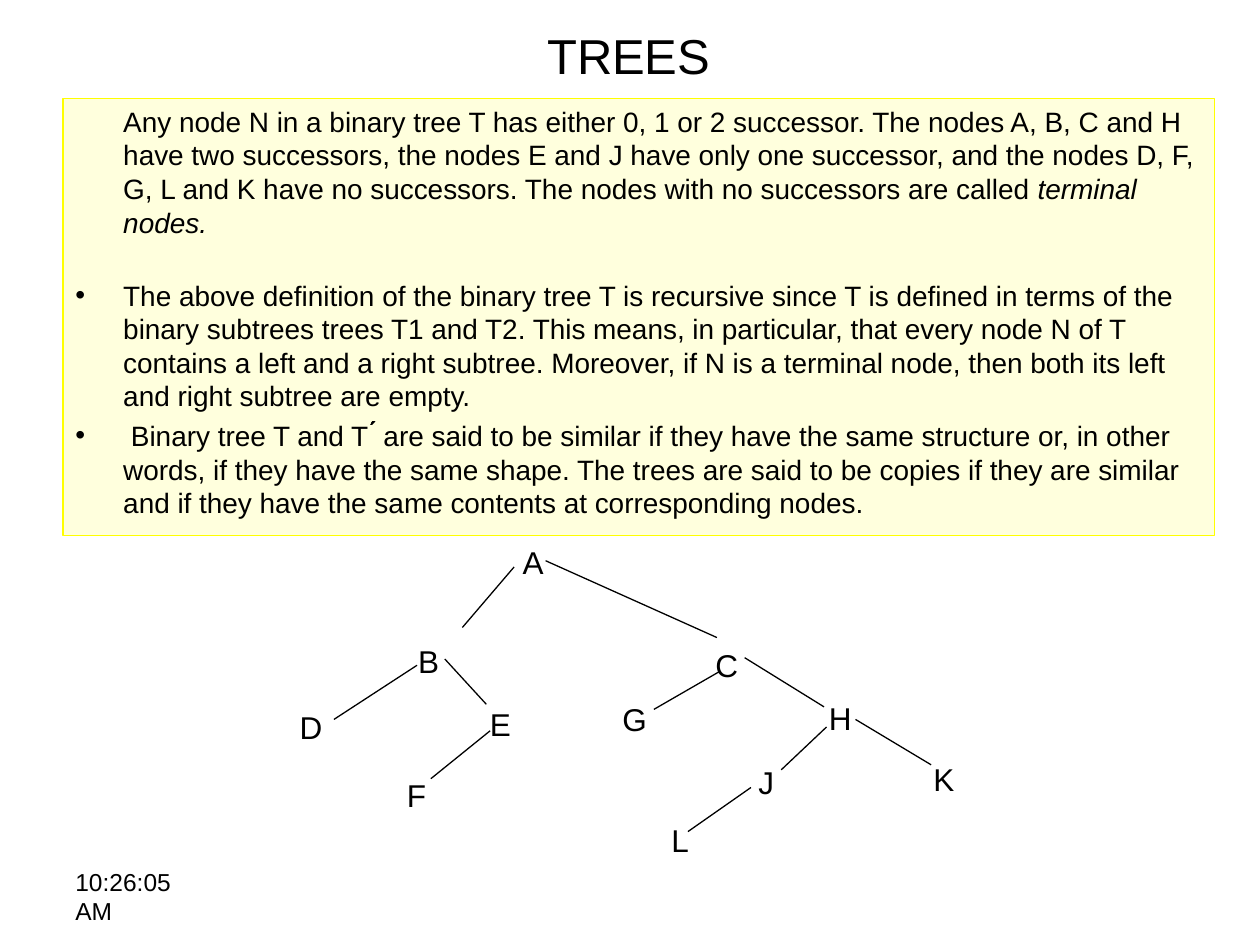
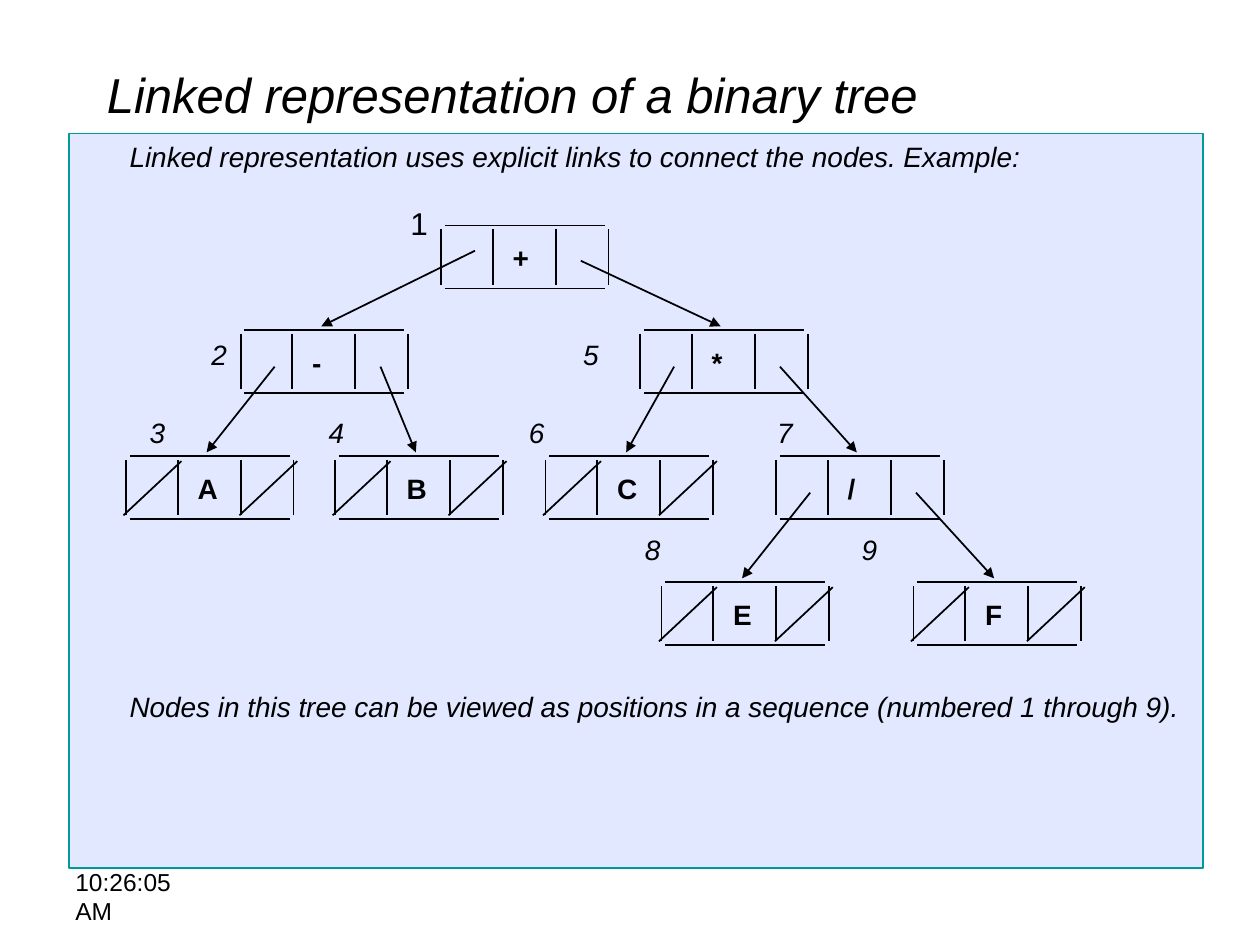
from dataclasses import dataclass

from lxml import etree
from pptx import Presentation
from pptx.dml.color import RGBColor
from pptx.enum.shapes import MSO_CONNECTOR, MSO_SHAPE
from pptx.enum.text import MSO_ANCHOR, PP_ALIGN
from pptx.oxml.ns import qn
from pptx.util import Inches, Pt

COLORS = {
    "ink": "000000",
    "cream": "FFFFDD",
    "yellow": "FFFF00",
    "lavender": "E1E8FF",
    "teal": "009999",
}
FONT = "Arial"

# Font settings shared by both slides
FORMATS = {
    "title": {"size": Pt(28)},
    "title_italic": {"size": Pt(28), "italic": True},
    "body": {"size": Pt(16)},
    "body_italic": {"size": Pt(16), "italic": True},
    "cell": {"size": Pt(16), "bold": True},
    "node": {"size": Pt(18)},
    "time": {"size": Pt(14)},
}

Point = tuple[float, float]
Box = tuple[float, float, float, float]


@dataclass(frozen=True)
class Passage:
    """A body paragraph made of (text, format) runs."""
    runs: tuple[tuple[str, str], ...]
    space_before: float = 0
    bullet: bool = False


@dataclass(frozen=True)
class LinkedNode:
    """A three-part cell with its number and its two child numbers."""
    symbol: str
    left: float
    top: float
    number_at: Point
    children: tuple[int, ...] = ()
    link_drops: Point = (0.29, 0.29)
    number_format: str = "body_italic"


def rgb(name: str) -> RGBColor:
    return RGBColor.from_string(COLORS[name])


def add_run(paragraph, text: str, style: str) -> None:
    run = paragraph.add_run()
    run.text = text
    for attribute, value in {"name": FONT, **FORMATS[style]}.items():
        setattr(run.font, attribute, value)
    run.font.color.rgb = rgb("ink")


def add_text(slide, text: str, box: Box, style: str,
             align=PP_ALIGN.LEFT, anchor=MSO_ANCHOR.TOP) -> None:
    frame = slide.shapes.add_textbox(*map(Inches, box)).text_frame
    frame.word_wrap = True
    frame.vertical_anchor = anchor
    paragraph = frame.paragraphs[0]
    paragraph.alignment = align
    add_run(paragraph, text, style)


def add_line(slide, start: Point, end: Point, weight: float,
             arrow: bool = False) -> None:
    line = slide.shapes.add_connector(
        MSO_CONNECTOR.STRAIGHT, *map(Inches, (*start, *end)))
    line.line.width = Pt(weight)
    line.line.color.rgb = rgb("ink")
    if arrow:
        etree.SubElement(line.line._get_or_add_ln(), qn("a:tailEnd"),
                         type="triangle")
    etree.SubElement(line._element.spPr, qn("a:effectLst"))


def add_panel(slide, box: Box, fill: str, border: str, weight: float,
              passages: list[Passage]) -> None:
    panel = slide.shapes.add_shape(MSO_SHAPE.RECTANGLE, *map(Inches, box))
    panel.shadow.inherit = False
    panel.fill.solid()
    panel.fill.fore_color.rgb = rgb(fill)
    panel.line.color.rgb = rgb(border)
    panel.line.width = Pt(weight)
    frame = panel.text_frame
    frame.word_wrap = True
    frame.vertical_anchor = MSO_ANCHOR.TOP
    for index, passage in enumerate(passages):
        paragraph = frame.add_paragraph() if index else frame.paragraphs[0]
        paragraph.alignment = PP_ALIGN.LEFT
        paragraph.space_before = Pt(passage.space_before)
        properties = paragraph._p.get_or_add_pPr()
        properties.set("marL", str(Inches(0.38)))
        properties.set("indent", str(Inches(-0.38 if passage.bullet else 0)))
        if passage.bullet:
            etree.SubElement(properties, qn("a:buFont"), typeface=FONT)
            etree.SubElement(properties, qn("a:buChar"), char="•")
        for text, style in passage.runs:
            add_run(paragraph, text, style)


def add_base_slide(deck):
    slide = deck.slides.add_slide(deck.slide_layouts[6])
    add_text(slide, "10:26:05 AM", (0.5, 6.83, 1.26, 0.52), "time")
    return slide


# Slide 1: terminal nodes and similar trees
TREE_PASSAGES = [
    Passage((
        ("Any node N in a binary tree T has either 0, 1 or 2 successor. The "
         "nodes A, B, C and H have two successors, the nodes E and J have "
         "only one successor, and the nodes D, F, G, L and K have no "
         "successors. The nodes with no successors are called ", "body"),
        ("terminal nodes.", "body_italic"),
    )),
    Passage((
        ("The above definition of the binary tree T is recursive since T is "
         "defined in terms of the binary subtrees trees T1 and T2. This "
         "means, in particular, that every node N of T contains a left and a "
         "right subtree. Moreover, if N is a terminal node, then both its "
         "left and right subtree are empty.", "body"),
    ), 22.5, True),
    Passage((
        (" Binary tree T and T ́́́́ are said to be similar if they have the "
         "same structure or, in other words, if they have the same shape. "
         "The trees are said to be copies if they are similar and if they "
         "have the same contents at corresponding nodes.", "body"),
    ), 3.5, True),
]

TREE_NODES: dict[str, Point] = {
    "A": (4.05, 4.26), "B": (3.22, 5.05), "C": (5.58, 5.08),
    "D": (2.28, 5.57), "E": (3.79, 5.55), "F": (3.13, 6.11),
    "G": (4.84, 5.51), "H": (6.48, 5.5), "J": (5.92, 6.01),
    "K": (7.31, 5.98), "L": (5.23, 6.47),
}

TREE_EDGES: dict[str, tuple[Point, Point]] = {
    "AB": ((4.08, 4.5), (3.67, 4.98)),
    "AC": ((4.33, 4.45), (5.69, 5.06)),
    "BD": ((3.31, 5.28), (2.65, 5.71)),
    "BE": ((3.53, 5.23), (3.86, 5.59)),
    "EF": ((3.89, 5.8), (3.42, 6.18)),
    "CG": ((5.71, 5.33), (5.19, 5.63)),
    "CH": ((5.91, 5.22), (6.54, 5.61)),
    "HJ": ((6.56, 5.77), (6.2, 6.11)),
    "JL": ((5.96, 6.25), (5.46, 6.6)),
    "HK": ((6.79, 5.71), (7.39, 6.07)),
}


def build_trees(deck) -> None:
    slide = add_base_slide(deck)
    add_text(slide, "TREES", (0.5, 0.03, 8.98, 0.81), "title",
             PP_ALIGN.CENTER, MSO_ANCHOR.MIDDLE)
    add_panel(slide, (0.5, 0.78, 9.14, 3.47), "cream", "yellow", 0.75,
              TREE_PASSAGES)
    for start, end in TREE_EDGES.values():
        add_line(slide, start, end, 0.75)
    for letter, place in TREE_NODES.items():
        add_text(slide, letter, (*place, 0.38, 0.4), "node")


# Slide 2: linked representation
LINKED_PASSAGES = [
    Passage((("Linked representation uses explicit links to connect the "
              "nodes. Example:", "body_italic"),)),
    Passage((("Nodes in this tree can be viewed as positions in a sequence "
              "(numbered 1 through 9).", "body_italic"),), 295),
]

LEVELS = (1.79, 2.62, 3.62, 4.62)
LINKED_NODES: dict[int, LinkedNode] = {
    1: LinkedNode("+", 3.5, LEVELS[0], (3.16, 1.57), (2, 5), (0.2, 0.28),
                  "node"),
    2: LinkedNode("-", 1.91, LEVELS[1], (1.58, 2.63), (3, 4)),
    3: LinkedNode("A", 1.0, LEVELS[2], (1.09, 3.25)),
    4: LinkedNode("B", 2.66, LEVELS[2], (2.51, 3.25)),
    5: LinkedNode("*", 5.08, LEVELS[1], (4.53, 2.63), (6, 7)),
    6: LinkedNode("C", 4.33, LEVELS[2], (4.1, 3.25)),
    7: LinkedNode("/", 6.16, LEVELS[2], (6.07, 3.25), (8, 9)),
    8: LinkedNode("E", 5.25, LEVELS[3], (5.02, 4.18)),
    9: LinkedNode("F", 7.25, LEVELS[3], (6.74, 4.18)),
}
CELL_HEIGHT = 0.5
DIVIDERS = (0, 0.41, 0.91, 1.33)
NULL_LINKS = (0, 0.92)
LINK_STARTS = (0.27, 1.11)


def draw_cell(slide, number: int, node: LinkedNode) -> None:
    x, y = node.left, node.top
    for edge in (y, y + CELL_HEIGHT):
        add_line(slide, (x + 0.03, edge), (x + 1.3, edge), 1)
    for divider in DIVIDERS:
        add_line(slide, (x + divider, y + 0.03), (x + divider, y + 0.47), 1)
    if not node.children:
        for shift in NULL_LINKS:
            add_line(slide, (x + shift + 0.44, y + 0.04),
                     (x + shift - 0.02, y + 0.47), 1)
    add_text(slide, node.symbol, (x + 0.47, y + 0.07, 0.4, 0.36), "cell")
    add_text(slide, str(number), (*node.number_at, 0.4, 0.38),
             node.number_format)


def draw_links(slide, node: LinkedNode) -> None:
    for child, shift, drop in zip(node.children, LINK_STARTS,
                                  node.link_drops):
        target = LINKED_NODES[child]
        add_line(slide, (node.left + shift, node.top + drop),
                 (target.left + 0.64, target.top - 0.03), 1, arrow=True)


def build_linked_representation(deck) -> None:
    slide = add_base_slide(deck)
    add_text(slide, "Linked representation of a binary tree",
             (0.75, 0.33, 8.5, 0.83), "title_italic",
             anchor=MSO_ANCHOR.MIDDLE)
    add_panel(slide, (0.55, 1.06, 9, 5.83), "lavender", "teal", 1,
              LINKED_PASSAGES)
    for number, node in LINKED_NODES.items():
        draw_cell(slide, number, node)
        draw_links(slide, node)


def main() -> None:
    deck = Presentation()
    deck.slide_width = Inches(10)
    deck.slide_height = Inches(7.5)
    build_trees(deck)
    build_linked_representation(deck)
    deck.save("out.pptx")


if __name__ == "__main__":
    main()
